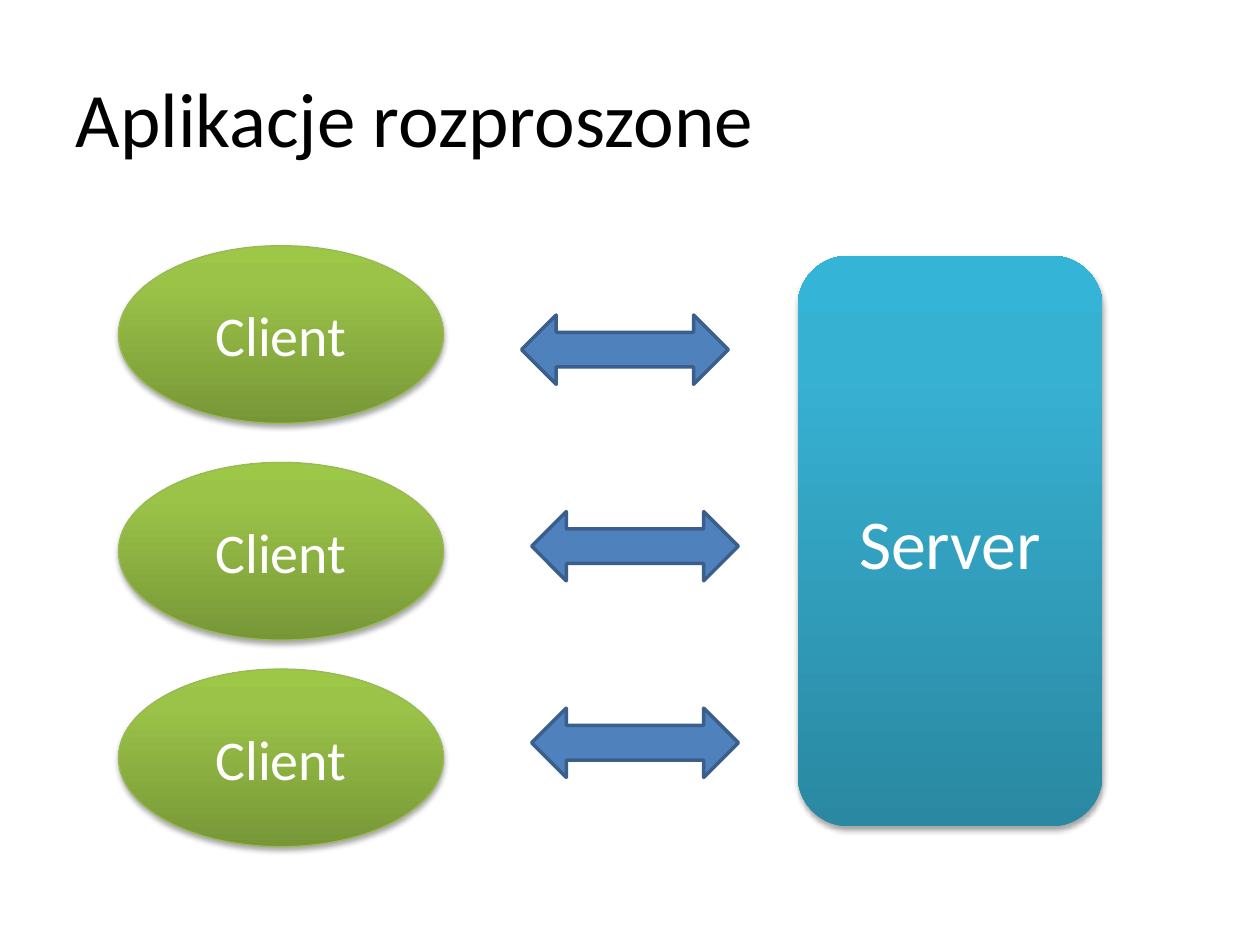
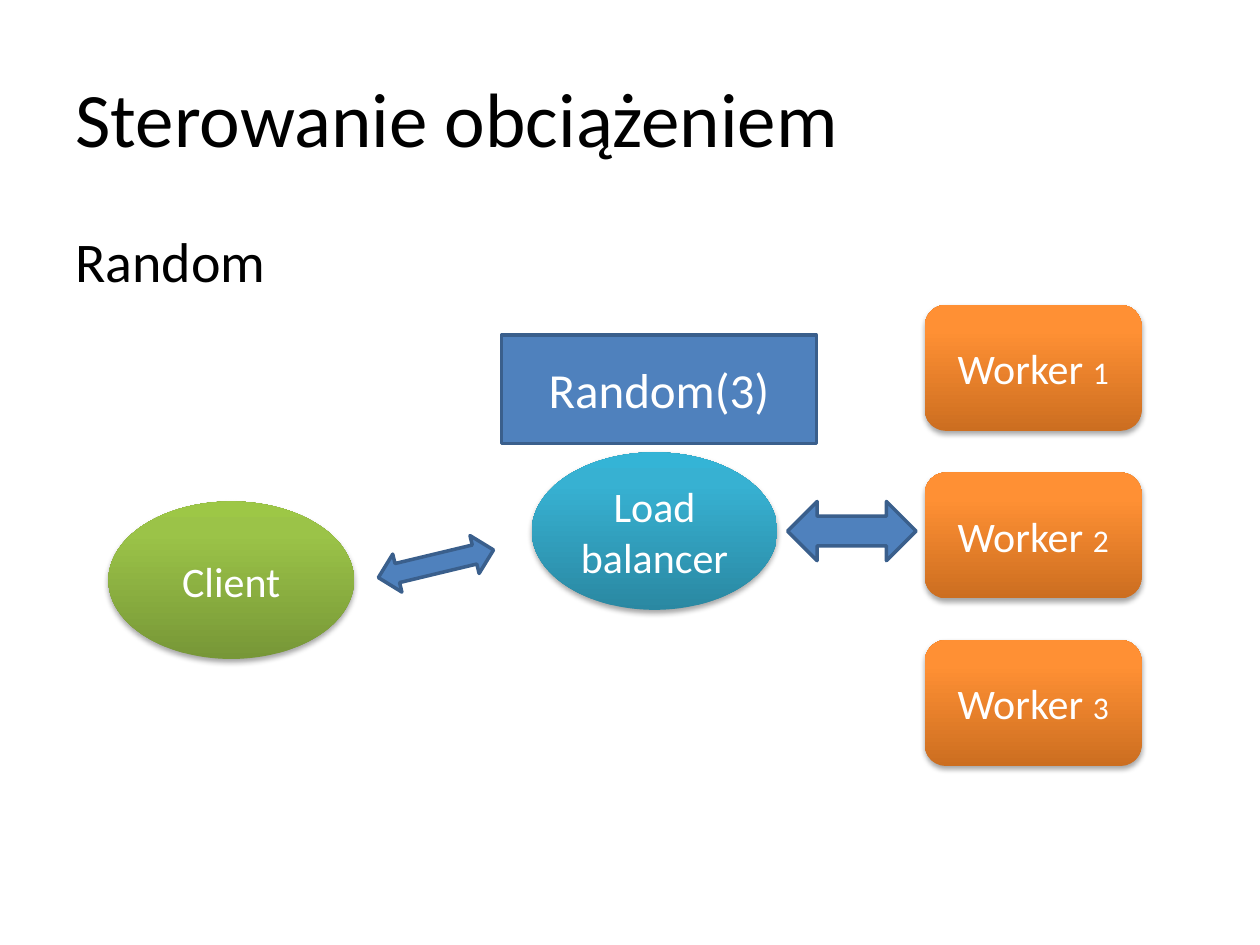
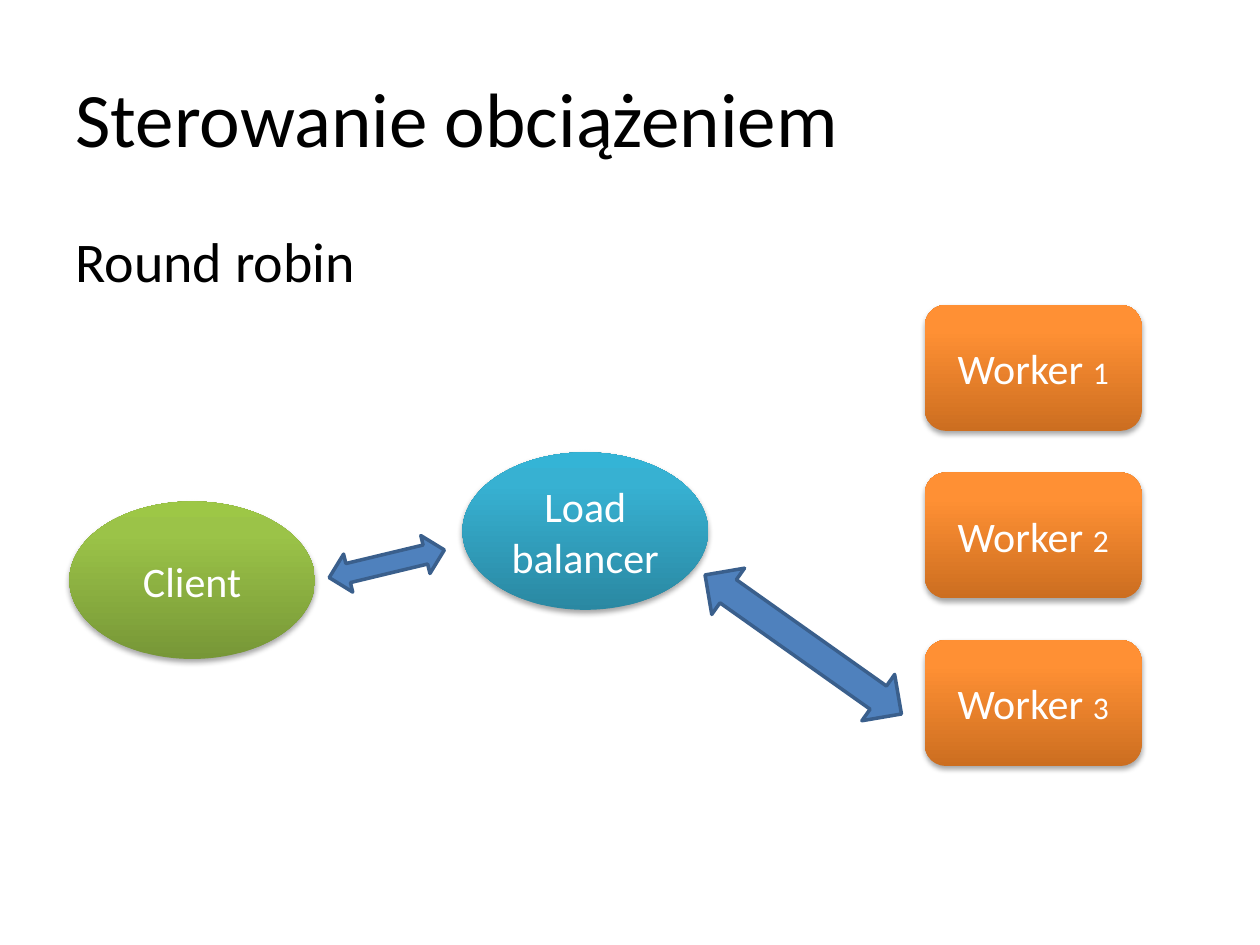
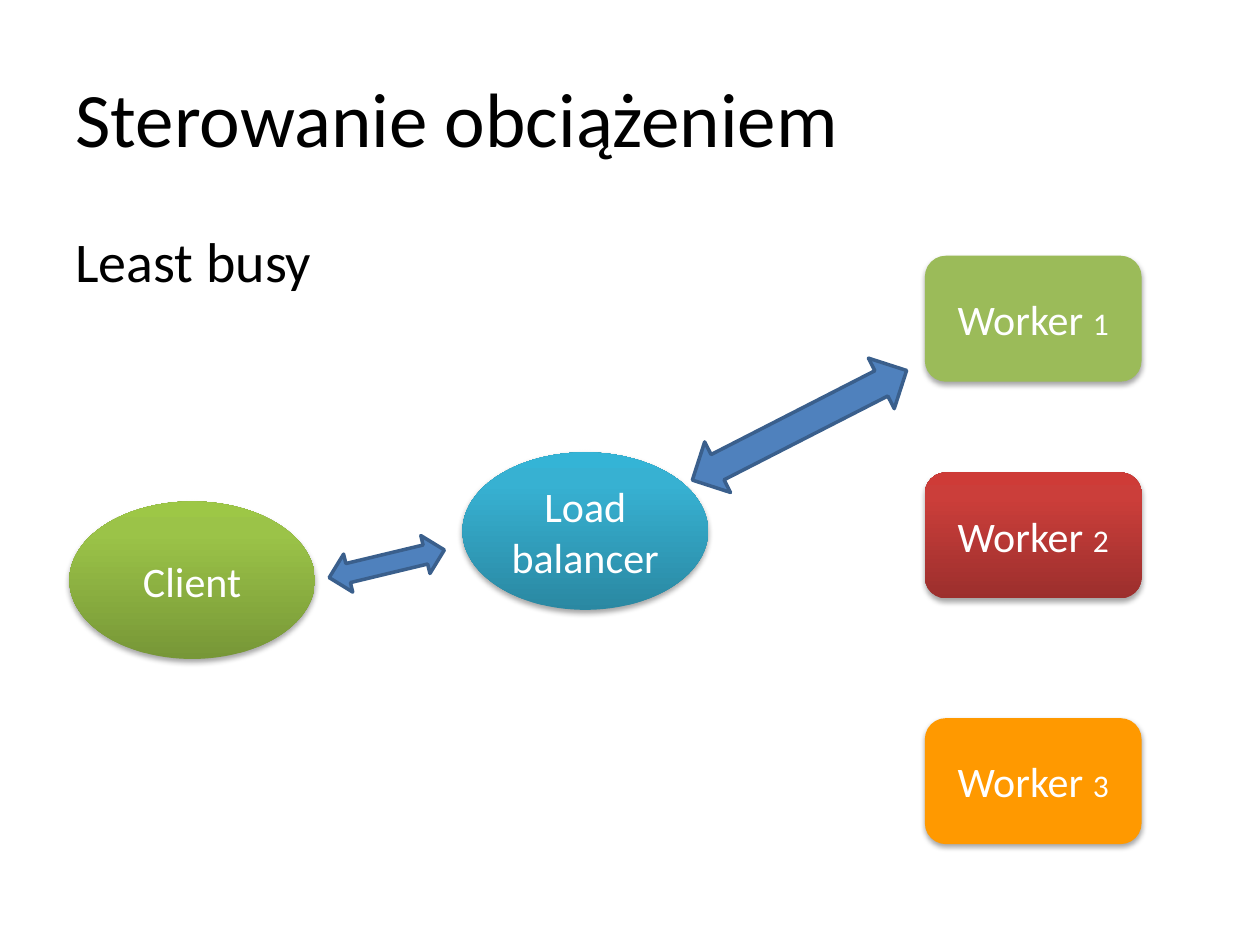
from copy import deepcopy
from dataclasses import dataclass

from lxml.etree import SubElement
from pptx import Presentation
from pptx.dml.color import RGBColor
from pptx.enum.shapes import MSO_SHAPE
from pptx.enum.text import MSO_ANCHOR, PP_ALIGN
from pptx.oxml.ns import qn
from pptx.util import Inches, Pt


@dataclass(frozen=True)
class Theme:
    font: str = "Calibri"
    black: str = "000000"
    white: str = "FFFFFF"
    blue: str = "4F81BD"
    blue_line: str = "3A5F8C"
    green_line: str = "98B955"
    # Gradients run from the bottom of a shape to its top
    green: tuple = ("779737", "9BC348", "9DC746")
    teal: tuple = ("2A88A2", "37B1D2", "34B4D6")
    orange: tuple = ("CC6E20", "FF9034", "FF9136")
    red: tuple = ("9C2F2D", "CB3E3A", "CE3B37")
    idle: str = "9BBB59"
    moderate: str = "FF9900"
    stops: tuple = (0, 0.8, 1)
    title: int = 44
    server: int = 40
    body: int = 32
    call: int = 28
    node: int = 24
    number: int = 18


T = Theme()


# Shared helpers
def rgb(color):
    return RGBColor.from_string(color)


def place(sp, left, top, width, height):
    sp.left, sp.top = Inches(left), Inches(top)
    sp.width, sp.height = Inches(width), Inches(height)


def style_run(r, size, color):
    r.font.name = T.font
    r.font.size = Pt(size)
    r.font.color.rgb = rgb(color)


def paint(sp, fill):
    if isinstance(fill, str):
        sp.fill.solid()
        sp.fill.fore_color.rgb = rgb(fill)
        return
    sp.fill.gradient()
    sp.fill.gradient_angle = 90
    stop_list = sp._element.spPr.find(qn("a:gradFill")).find(qn("a:gsLst"))
    stop_list.append(deepcopy(stop_list[0]))
    for stop, position, color in zip(sp.fill.gradient_stops, T.stops, fill):
        stop.position = position
        stop.color.rgb = rgb(color)


def add_shadow(sp):
    effects = sp._element.spPr.find(qn("a:effectLst"))
    shadow = SubElement(effects, qn("a:outerShdw"), blurRad="40000",
                        dist="23000", dir="5400000", rotWithShape="0")
    color = SubElement(shadow, qn("a:srgbClr"), val=T.black)
    SubElement(color, qn("a:alpha"), val="35000")


def add_block(s, kind, box, fill, line=None, line_width=2):
    sp = s.shapes.add_shape(kind, *(Inches(v) for v in box))
    sp.shadow.inherit = False
    paint(sp, fill)
    if line:
        sp.line.color.rgb = rgb(line)
        sp.line.width = Pt(line_width)
    else:
        sp.line.fill.background()
    return sp


def add_label(sp, *parts):
    """Write centred runs, each given as (text, size)."""
    p = sp.text_frame.paragraphs[0]
    p.alignment = PP_ALIGN.CENTER
    for text, size in parts:
        r = p.add_run()
        r.text = text
        style_run(r, size, T.white)


def add_node(s, kind, box, fill, *parts, line=None):
    sp = add_block(s, kind, box, fill, line, 0.75)
    add_shadow(sp)
    add_label(sp, *parts)


def add_arrow(s, box, rotation=0):
    sp = add_block(s, MSO_SHAPE.LEFT_RIGHT_ARROW, box, T.blue, T.blue_line)
    sp.rotation = rotation


def add_titled_slide(prs, title):
    s = prs.slides.add_slide(prs.slide_layouts[5])
    sp = s.shapes.title
    place(sp, 0.5, 0.3, 9, 1.25)
    tf = sp.text_frame
    tf.text = title
    tf.vertical_anchor = MSO_ANCHOR.MIDDLE
    p = tf.paragraphs[0]
    p.alignment = PP_ALIGN.LEFT
    style_run(p.runs[0], T.title, T.black)
    return s


# Regions
def strategy_name(s, box, text):
    sp = s.shapes.add_textbox(*(Inches(v) for v in box))
    tf = sp.text_frame
    tf.word_wrap = True
    tf.text = text
    style_run(tf.paragraphs[0].runs[0], T.body, T.black)


def client_column(s, left, top):
    for dy in (0, 1.72, 3.36):
        add_node(s, MSO_SHAPE.OVAL, (left, top + dy, 2.58, 1.41), T.green,
                 ("Client", T.body), line=T.green_line)


def exchange_column(s, left, top):
    for row, dx in enumerate((0, 0.08, 0.08)):
        add_arrow(s, (left + dx, top + row * 1.56, 1.64, 0.55))


def request_route(s, left, top, balancer_dx, arrow_dx):
    size = (1.95, 1.25)
    add_node(s, MSO_SHAPE.OVAL, (left, top + 0.39, *size), T.green,
             ("Client", T.node))
    add_node(s, MSO_SHAPE.OVAL, (left + balancer_dx, top, *size), T.teal,
             ("Load balancer", T.node))
    add_arrow(s, (left + arrow_dx, top + 0.73, 0.94, 0.31), 346.5)


def worker_column(s, left, top, offsets, fills):
    for number, (dy, fill) in enumerate(zip(offsets, fills), 1):
        add_node(s, MSO_SHAPE.ROUNDED_RECTANGLE, (left, top + dy, 1.72, 1),
                 fill, ("Worker ", T.node), (str(number), T.number))


def random_call(s, box):
    sp = add_block(s, MSO_SHAPE.RECTANGLE, box, T.blue, T.blue_line)
    add_label(sp, ("Random(3)", T.call))


# Slides
def distributed_slide(prs):
    s = add_titled_slide(prs, "Aplikacje rozproszone")
    client_column(s, 0.94, 1.95)
    add_node(s, MSO_SHAPE.ROUNDED_RECTANGLE, (6.33, 2.03, 2.42, 4.53), T.teal,
             ("Server", T.server))
    exchange_column(s, 4.14, 2.5)


def balancing_slide(prs, strategy, route, workers, arrow, rotation=0):
    s = add_titled_slide(prs, "Sterowanie obciążeniem")
    strategy_name(s, (0.5, 1.75, 9, 4.95), strategy)
    request_route(s, *route)
    worker_column(s, 7.34, *workers)
    add_arrow(s, arrow, rotation)
    return s


def main():
    prs = Presentation()
    prs.slide_width, prs.slide_height = Inches(10), Inches(7.5)

    distributed_slide(prs)

    wide_route = (0.86, 3.59, 3.36, 2.13)
    narrow_route = (0.55, 3.59, 3.12, 2.05)
    equal_workers = (2.42, (0, 1.33, 2.66), (T.orange,) * 3)
    loaded_workers = (2.03, (0, 1.72, 3.67), (T.idle, T.red, T.moderate))

    s = balancing_slide(prs, "Random", wide_route, equal_workers,
                        (6.25, 3.98, 1.02, 0.47))
    random_call(s, (3.98, 2.66, 2.5, 0.86))
    balancing_slide(prs, "Round robin", narrow_route, equal_workers,
                    (5.42, 4.89, 1.91, 0.45), 35.3)
    balancing_slide(prs, "Least busy", narrow_route, loaded_workers,
                    (5.39, 3.15, 1.91, 0.45), 332.9)

    prs.save("out.pptx")


if __name__ == "__main__":
    main()
